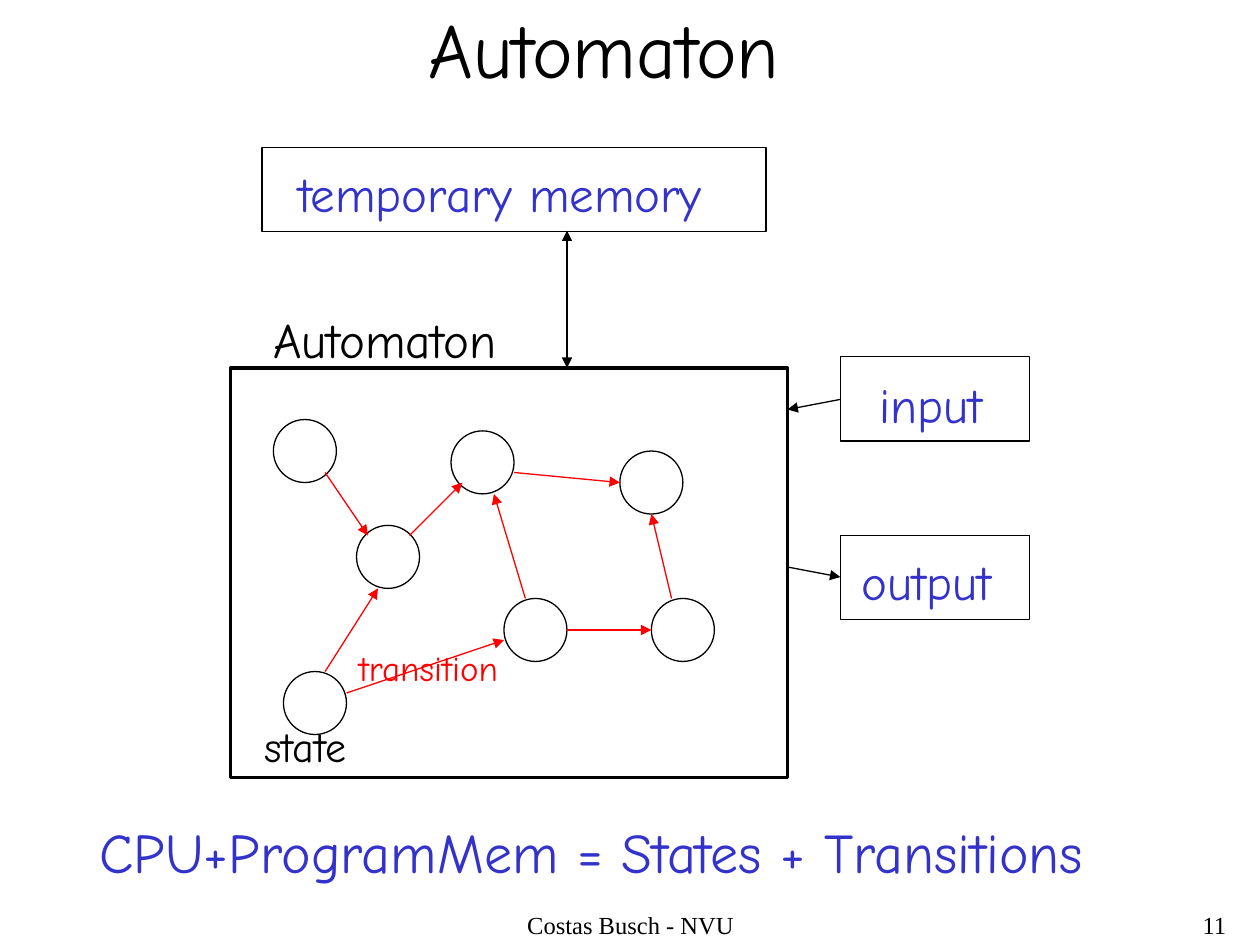
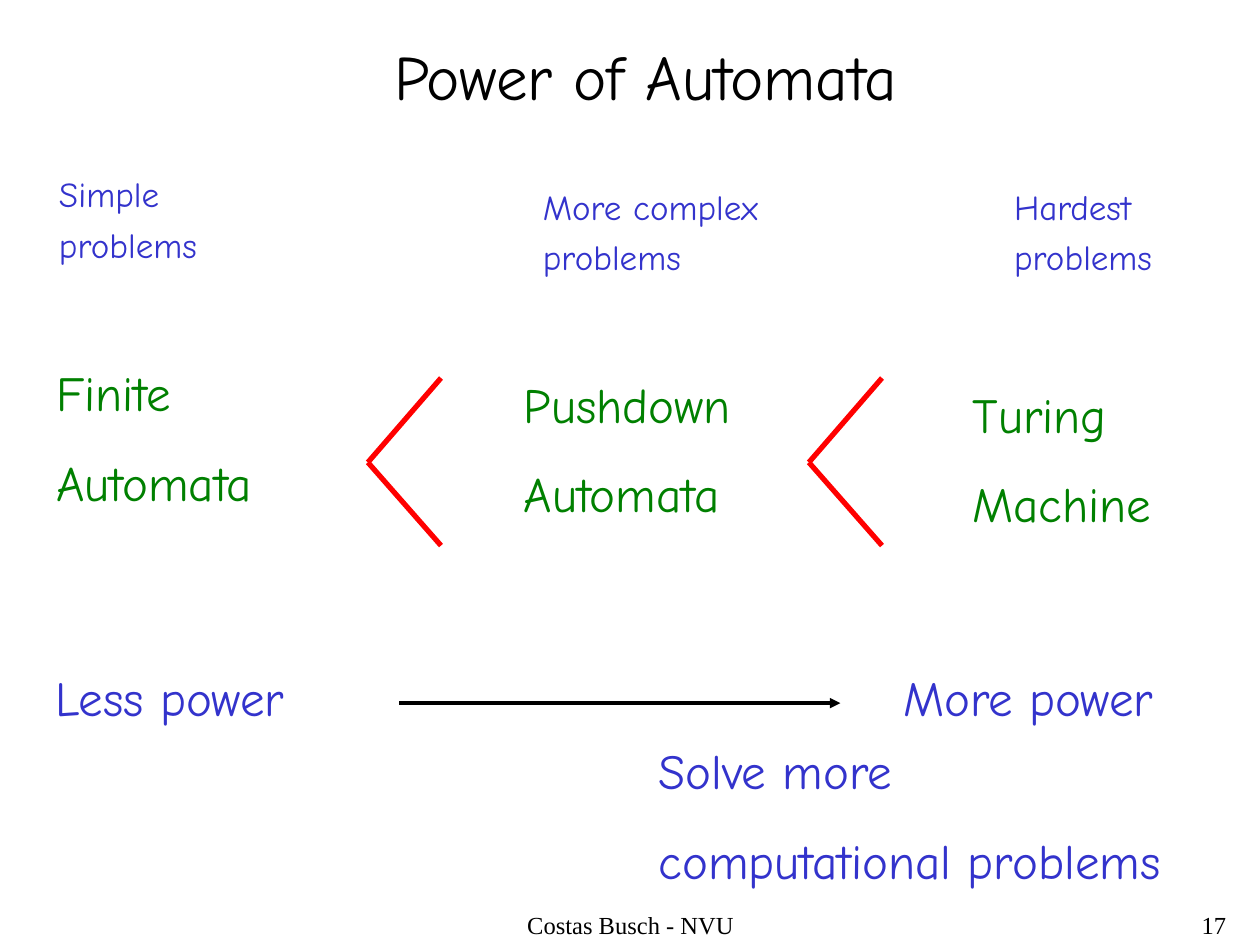
from lxml.etree import SubElement
from pptx import Presentation
from pptx.dml.color import RGBColor
from pptx.enum.shapes import MSO_CONNECTOR, MSO_SHAPE
from pptx.enum.text import MSO_ANCHOR, MSO_AUTO_SIZE, PP_ALIGN
from pptx.oxml.ns import qn
from pptx.util import Inches, Pt

BLACK, BLUE, GREEN, RED = "000000", "3333CC", "008000", "FF0000"
BODY_FONT, FOOTER_FONT = "Comic Neue", "Times New Roman"
THIN, MEDIUM, THICK = 0.75, 2, 3
FOOTER = "Costas Busch - NVU"


def color(value):
    return RGBColor.from_string(value)


class Deck:
    def __init__(self):
        self.presentation = Presentation()
        self.presentation.slide_width = Inches(10)
        self.presentation.slide_height = Inches(7.5)
        self.slide = None

    def add_slide(self, title, box, size, space, number):
        layout = self.presentation.slide_layouts[5]
        self.slide = self.presentation.slides.add_slide(layout)
        shape = self.slide.shapes.title
        shape.left, shape.top, shape.width, shape.height = map(Inches, box)
        self.fill_text(shape, [title], size, BLACK, space)
        self.footer(FOOTER, (3.42, 7.17, 3.17, 0.33), PP_ALIGN.CENTER)
        self.footer(str(number), (7.75, 7.17, 2.08, 0.33), PP_ALIGN.RIGHT)

    def fill_text(self, shape, lines, size, ink, space=0, font=BODY_FONT,
                  align=PP_ALIGN.LEFT, wrap=False):
        frame = shape.text_frame
        frame.word_wrap = wrap
        frame.auto_size = MSO_AUTO_SIZE.NONE if wrap else MSO_AUTO_SIZE.SHAPE_TO_FIT_TEXT
        frame.vertical_anchor = MSO_ANCHOR.TOP
        for index, line in enumerate(lines):
            paragraph = frame.add_paragraph() if index else frame.paragraphs[0]
            paragraph.alignment = align
            paragraph.space_before = Pt(space)
            run = paragraph.add_run()
            run.text = line
            run.font.name = font
            run.font.size = Pt(size)
            run.font.color.rgb = color(ink)

    def footer(self, text, box, align):
        shape = self.slide.shapes.add_textbox(*map(Inches, box))
        self.fill_text(shape, [text], 14, BLACK, font=FOOTER_FONT, align=align, wrap=True)

    def text(self, lines, box, ink, size=28, space=17.5):
        shape = self.slide.shapes.add_textbox(*map(Inches, box))
        self.fill_text(shape, lines, size, ink, space)

    def outline(self, kind, box, width=THIN):
        shape = self.slide.shapes.add_shape(kind, *map(Inches, box))
        shape.shadow.inherit = False
        shape.fill.background()
        shape.line.color.rgb = color(BLACK)
        shape.line.width = Pt(width)

    def line(self, start, end, ink=BLACK, width=THIN, arrows=("tailEnd",)):
        connector = self.slide.shapes.add_connector(
            MSO_CONNECTOR.STRAIGHT, *map(Inches, start + end))
        connector.line.color.rgb = color(ink)
        connector.line.width = Pt(width)
        properties = connector.element.spPr
        for arrow in arrows:
            SubElement(properties.find(qn("a:ln")), qn("a:" + arrow), type="triangle")
        SubElement(properties, qn("a:effectLst"))


def build_automaton(deck):
    deck.add_slide("Automaton", (3.3, -0.04, 3.02, 0.84), 44, 27.5, 11)

    for box in [(2.08, 1.17, 4, 0.67), (6.67, 2.83, 1.5, 0.67), (6.67, 4.25, 1.5, 0.67)]:
        deck.outline(MSO_SHAPE.RECTANGLE, box)
    deck.text(["temporary memory"], (2.27, 1.25, 3.42, 0.57), BLUE)
    deck.text(["input"], (6.88, 2.92, 1.02, 0.57), BLUE)
    deck.text(["output"], (6.74, 4.33, 1.23, 0.57), BLUE)

    deck.line((4.5, 1.83), (4.5, 2.92), arrows=("headEnd", "tailEnd"))
    deck.line((6.67, 3.17), (6.25, 3.25))
    deck.line((6.25, 4.5), (6.67, 4.58))

    deck.outline(MSO_SHAPE.RECTANGLE, (1.83, 2.92, 4.42, 3.25), MEDIUM)
    deck.text(["Automaton"], (2.07, 2.41, 1.99, 0.57), BLACK)

    states = [(2.17, 3.33), (2.83, 4.17), (3.58, 3.42), (4, 4.75),
              (4.92, 3.58), (2.25, 5.33), (5.17, 4.75)]
    for left, top in states:
        deck.outline(MSO_SHAPE.OVAL, (left, top, 0.5, 0.5))

    transitions = [
        ((2.58, 3.75), (2.92, 4.25)),
        ((3.25, 4.25), (3.67, 3.83)),
        ((4.08, 3.75), (4.92, 3.83)),
        ((4.17, 4.75), (3.92, 3.92)),
        ((2.58, 5.33), (3, 4.67)),
        ((2.75, 5.5), (4, 5.08)),
        ((4.5, 5), (5.17, 5)),
        ((5.33, 4.75), (5.17, 4.08)),
    ]
    for start, end in transitions:
        deck.line(start, end, RED)

    deck.text(["state"], (2, 5.67, 0.87, 0.5), BLACK, 24, 6)
    deck.text(["transition"], (2.75, 5.08, 1.31, 0.44), RED, 20, 5)
    deck.text(["CPU+ProgramMem = States + Transitions"],
              (0.69, 6.44, 8.06, 0.64), BLUE, 32, 8)


def build_power(deck):
    deck.add_slide("Power of Automata", (3.03, 0.25, 4.25, 0.7), 36, 22.5, 17)

    problems = [("Simple", 0.37, 1.32, 1.3), ("More complex", 4.21, 1.42, 1.91),
                ("Hardest", 7.95, 1.42, 1.3)]
    for name, left, top, width in problems:
        deck.text([name, "problems"], (left, top, width, 0.84), BLUE, 20, 5)

    machines = [(["Finite", "Automata"], 0.35, 2.83, 1.77),
                (["Pushdown", "Automata"], 4.06, 2.92, 1.84),
                (["Turing", "Machine"], 7.62, 3, 1.62)]
    for lines, left, top, width in machines:
        deck.text(lines, (left, top, width, 1.28), GREEN)

    for tip in (2.92, 6.42):
        for end_y in (3, 4.33):
            deck.line((tip, 3.67), (tip + 0.58, end_y), RED, THICK, arrows=())

    deck.line((3.17, 5.58), (6.67, 5.58), width=MEDIUM)
    deck.text(["Less power"], (0.34, 5.25, 2.03, 0.57), BLUE)
    deck.text(["More power"], (7.07, 5.25, 2.2, 0.57), BLUE)
    deck.text(["Solve more", "computational problems"], (5.13, 5.83, 4.2, 1.28), BLUE)


deck = Deck()
build_automaton(deck)
build_power(deck)
deck.presentation.save("out.pptx")
